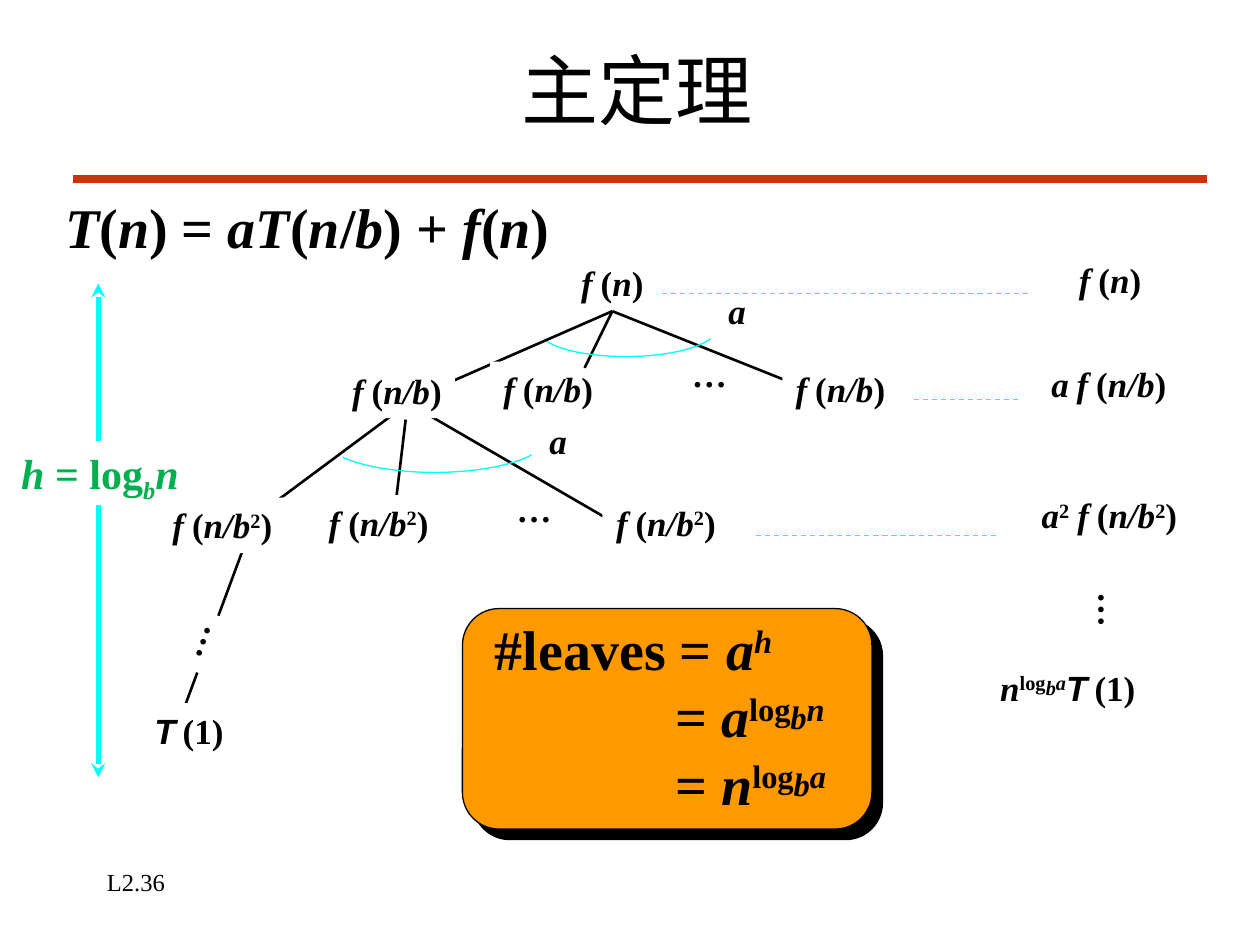
from dataclasses import dataclass

import lxml.etree
import pptx
import pptx.dml.color
import pptx.enum.dml
import pptx.enum.shapes
import pptx.enum.text
import pptx.oxml
import pptx.oxml.ns
import pptx.util

Inches = pptx.util.Inches
Pt = pptx.util.Pt
qn = pptx.oxml.ns.qn
LEFT, CENTER = pptx.enum.text.PP_ALIGN.LEFT, pptx.enum.text.PP_ALIGN.CENTER
SERIF, SANS = "Times New Roman", "Arial"
BLACK, WHITE, CYAN, GREEN = "000000", "FFFFFF", "00FFFF", "00B050"
ORANGE, RED = "FF9900", "CC3300"


@dataclass
class Run:
    text: str
    italic: bool = False
    base: int = 0  # baseline shift in percent
    size: int = 0  # 0 takes the size of the label
    font: str = SERIF


@dataclass
class Label:
    left: float
    top: float
    width: float
    runs: list
    align: int = CENTER
    rotation: float = 0
    filled: bool = True
    height: float = 0.44
    size: int = 20
    color: str = BLACK


def rgb(value: str):
    return pptx.dml.color.RGBColor.from_string(value)


def var(text: str, base: int = 0, size: int = 0) -> Run:
    return Run(text, True, base, size)


def cost(argument: str, power: str = "") -> list:
    """The term f (argument), with an optional power."""
    raised = [Run(power, base=30)] if power else []
    return [var("f"), var(" ", size=18), Run("("), var(argument), *raised, Run(")")]


def log_power(base: str, of: str) -> list:
    """The base raised to log_b of a variable."""
    return [var(base), Run("log", base=30), var("b", 16), var(of, 30)]


def write(paragraph, runs: list, size: int, color: str = BLACK) -> None:
    for part in runs:
        run = paragraph.add_run()
        run.text = part.text
        font = run.font
        font.name, font.size = part.font, Pt(part.size or size)
        font.bold, font.italic = True, part.italic
        font.color.rgb = rgb(color)
        if part.base:
            run._r.get_or_add_rPr().set("baseline", str(part.base * 1000))


def add_label(slide, label: Label):
    box = slide.shapes.add_textbox(Inches(label.left), Inches(label.top),
                                   Inches(label.width), Inches(label.height))
    box.rotation = label.rotation
    if label.filled:
        box.fill.solid()
        box.fill.fore_color.rgb = rgb(WHITE)
    frame = box.text_frame
    frame.word_wrap = False
    frame.auto_size = pptx.enum.text.MSO_AUTO_SIZE.SHAPE_TO_FIT_TEXT
    frame.paragraphs[0].alignment = label.align
    write(frame.paragraphs[0], label.runs, label.size, label.color)
    return box


def add_line(slide, start: tuple, end: tuple, color: str = BLACK, width: float = 1.5,
             dashed: bool = False, arrows: bool = False):
    line = slide.shapes.add_connector(pptx.enum.shapes.MSO_CONNECTOR.STRAIGHT,
                                      *map(Inches, start + end))
    line.line.color.rgb = rgb(color)
    line.line.width = Pt(width)
    if dashed:
        line.line.dash_style = pptx.enum.dml.MSO_LINE.DASH
    if arrows:
        for tag in ("a:headEnd", "a:tailEnd"):
            lxml.etree.SubElement(line.line._get_or_add_ln(), qn(tag), type="stealth")
    lxml.etree.SubElement(line._element.spPr, qn("a:effectLst"))
    return line


def add_arc(slide, curves: list) -> None:
    """Draw joined cubic curves as a fine open outline."""
    points = []
    for curve in curves:
        for step in range(1, 17):
            t = step / 16
            weights = ((1 - t) ** 3, 3 * t * (1 - t) ** 2, 3 * t * t * (1 - t), t ** 3)
            points.append(tuple(Inches(sum(w * p[axis] for w, p in zip(weights, curve)))
                                for axis in (0, 1)))
    builder = slide.shapes.build_freeform(*map(Inches, curves[0][0]))
    builder.add_line_segments(points, close=False)
    arc = builder.convert_to_shape()
    arc.shadow.inherit = False
    arc.fill.background()
    arc.line.color.rgb = rgb(CYAN)
    arc.line.width = Pt(0.75)


def add_leaves_callout(slide) -> None:
    card = slide.shapes.add_shape(pptx.enum.shapes.MSO_SHAPE.ROUNDED_RECTANGLE,
                                  Inches(3.67), Inches(4.83), Inches(3.25), Inches(1.75))
    card.fill.solid()
    card.fill.fore_color.rgb = rgb(ORANGE)
    card.line.color.rgb = rgb(BLACK)
    card.line.width = Pt(0.75)
    card.shadow.inherit = False
    shadow = lxml.etree.SubElement(card._element.spPr.find(qn("a:effectLst")), qn("a:outerShdw"),
                                   dist=str(Pt(8.5)), dir="2700000", algn="ctr", rotWithShape="0")
    lxml.etree.SubElement(shadow, qn("a:srgbClr"), val=BLACK)

    equals = Run("\t= ")
    rows = [[Run("#leaves = "), var("a"), var("h", 30)],
            [equals, *log_power("a", "n")],
            [equals, *log_power("n", "a")]]
    frame = add_label(slide, Label(3.83, 4.83, 2.94, rows[0], LEFT, filled=False,
                                   height=1.72, size=32)).text_frame
    for row in rows[1:]:
        write(frame.add_paragraph(), row, 32)
    for paragraph in frame.paragraphs:
        properties = paragraph._p.get_or_add_pPr()
        properties.set("marL", str(Inches(1.43)))
        properties.set("indent", str(-Inches(1.43)))


def main() -> None:
    deck = pptx.Presentation()
    deck.slide_width, deck.slide_height = Inches(10), Inches(7.5)
    slide = deck.slides.add_slide(deck.slide_layouts[5])
    dots = [Run("…")]
    leaf = [Run("Τ", True, font=SANS), var(" ", size=16), Run("(1)")]

    # Title, rule and slide number
    title = slide.shapes.title
    title.left, title.top = Inches(0.81), Inches(0.08)
    title.width, title.height = Inches(8.5), Inches(1.25)
    title.text_frame.text = "主定理"
    title.text_frame.vertical_anchor = pptx.enum.text.MSO_ANCHOR.MIDDLE
    title.text_frame.paragraphs[0].alignment = CENTER
    number = slide.shapes.add_textbox(Inches(0.75), Inches(6.83), Inches(2.08), Inches(0.5))
    number.text_frame.word_wrap = True
    number.text_frame.text = "L2.36"
    for text, size in ((title, 44), (number, 14)):
        font = text.text_frame.paragraphs[0].runs[0].font
        font.name, font.size = SERIF, Pt(size)
        font.color.rgb = rgb(BLACK)
    add_line(slide, (0.58, 1.42), (9.58, 1.42), RED, 4.5)

    # Recurrence
    recurrence = [Run(" ", size=20), var("T"), Run("("), var("n"), Run(") = "), var("aT"),
                  Run("("), var("n"), Run("/"), var("b"), Run(") + "), var("f"),
                  Run("("), var("n"), Run(")")]
    add_label(slide, Label(0.35, 1.48, 4.26, recurrence, LEFT, filled=False,
                           height=0.64, size=32))

    # Tree: branches lie behind the labels they lead to
    root = add_label(slide, Label(4.51, 2.03, 0.7, cost("n")))
    for end in ((3.19, 3.2), (6.69, 3.2)):
        add_line(slide, (4.86, 2.47), end).begin_connect(root, 2)
    for start, end in (((3.22, 3.33), (3.14, 4)), ((3.24, 3.2), (1.72, 4.33)),
                       ((3.24, 3.2), (5.05, 4.25)), ((1.94, 4.33), (1.35, 5.92))):
        add_line(slide, start, end)
    for left, top in ((2.69, 2.88), (3.89, 2.87), (6.21, 2.87)):
        add_label(slide, Label(left, top, 0.92, cost("n/b")))
    add_line(slide, (4.86, 2.47), (4.64, 2.92)).begin_connect(root, 2)
    for left, top in ((1.26, 3.95), (2.5, 3.93), (4.78, 3.93)):
        add_label(slide, Label(left, top, 1.01, cost("n/b", "2")))
    add_label(slide, Label(1.29, 4.85, 0.48, dots, rotation=289.4))
    add_label(slide, Label(1.12, 5.58, 0.76, leaf))
    for left, top in ((5.39, 2.75), (4, 3.82)):
        add_label(slide, Label(left, top, 0.48, dots, filled=False))

    # Branching factor
    add_arc(slide, [((4.34, 2.71), (4.47, 2.79), (4.71, 2.83), (4.97, 2.83)),
                    ((4.97, 2.83), (5.25, 2.83), (5.51, 2.78), (5.64, 2.69))])
    add_arc(slide, [((2.72, 3.63), (2.87, 3.7), (3.15, 3.75), (3.45, 3.75)),
                    ((3.45, 3.75), (3.78, 3.75), (4.08, 3.69), (4.22, 3.61))])
    for left, top in ((5.68, 2.25), (4.26, 3.28)):
        add_label(slide, Label(left, top, 0.34, [var("a")], filled=False))

    # Tree height
    add_line(slide, (0.78, 2.25), (0.78, 6.17), CYAN, 2.75, arrows=True)
    height = [var("h"), Run(" = log"), var("b", -25), var("n")]
    add_label(slide, Label(0.07, 3.5, 1.48, height, LEFT, height=0.51, size=24, color=GREEN))

    # Cost of each level
    for left, right, y in ((5.25, 8.17, 2.33), (7.25, 8.08, 3.17), (6, 7.92, 4.25)):
        add_line(slide, (left, y), (right, y), CYAN, 0.75, dashed=True)
    gap = var(" ", size=18)
    for label in (
        Label(8.46, 2, 0.7, cost("n")),
        Label(8.24, 2.83, 1.12, [var("a"), gap, *cost("n/b")]),
        Label(8.15, 3.87, 1.31, [var("a"), Run("2", base=30), gap, *cost("n/b", "2")]),
        Label(8.41, 4.62, 0.48, dots, LEFT, 270, filled=False),
        Label(7.84, 5.24, 1.34, [*log_power("n", "a"), *leaf], LEFT, filled=False),
    ):
        add_label(slide, label)

    add_leaves_callout(slide)
    deck.save("out.pptx")


if __name__ == "__main__":
    main()
